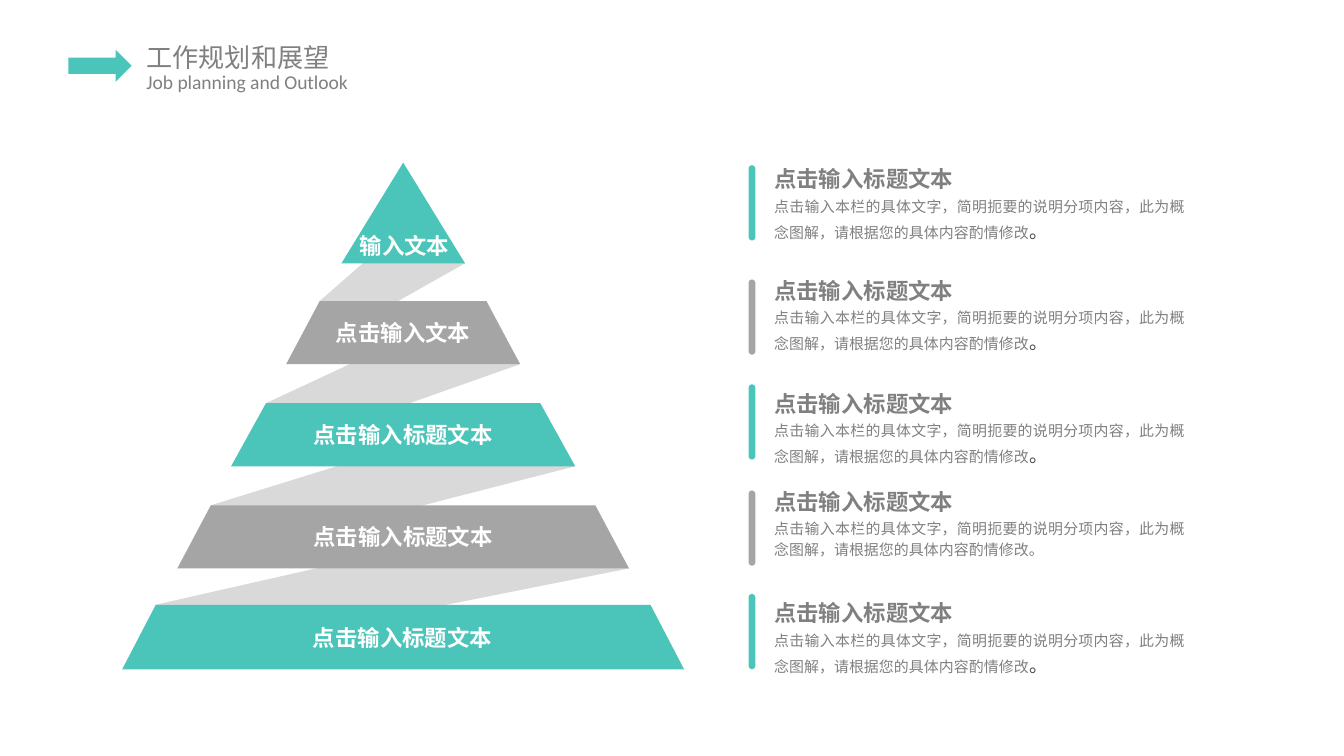
from dataclasses import dataclass
from itertools import cycle, pairwise

from lxml.etree import SubElement
from pptx import Presentation
from pptx.dml.color import RGBColor as RGB
from pptx.enum.shapes import MSO_SHAPE as SHAPE
from pptx.enum.text import MSO_ANCHOR as ANCHOR, PP_ALIGN as ALIGN
from pptx.oxml.ns import qn
from pptx.util import Pt

PX = 9144


@dataclass(frozen=True)
class Theme:
    teal: RGB = RGB(0x4B, 0xC5, 0xB9)
    gray: RGB = RGB(0xA5, 0xA5, 0xA5)
    ribbon: RGB = RGB(0xD9, 0xD9, 0xD9)
    text: RGB = RGB(0x80, 0x80, 0x80)
    dark: RGB = RGB(0x40, 0x40, 0x40)
    white: RGB = RGB(0xFF, 0xFF, 0xFF)
    cjk: str = "Noto Sans CJK SC"
    latin: str = "Calibri"
    title: float = 14
    subtitle: float = 10.5
    heading: float = 12
    body: float = 8
    stop: float = 10


theme = Theme()


def paint(s, color):
    s.shadow.inherit = False
    s.fill.solid()
    s.fill.fore_color.rgb = color
    s.line.fill.background()


def write(sp, box, text, size, color, font=theme.cjk, bold=False,
          align=ALIGN.LEFT, anchor=ANCHOR.TOP, insets=(4, 2), wrap=False):
    sp.left, sp.top, sp.width, sp.height = [v * PX for v in box]
    tf = sp.text_frame
    tf.word_wrap = wrap
    tf.vertical_anchor = anchor
    tf.margin_left = tf.margin_right = insets[0] * PX
    tf.margin_top = tf.margin_bottom = insets[1] * PX
    p = tf.paragraphs[0]
    p.add_run().text = text
    p.alignment = align
    p.font.size = Pt(size)
    p.font.bold = bold
    p.font.name = font
    p.font.color.rgb = color
    SubElement(p._p.pPr.find(qn("a:defRPr")), qn("a:ea"), typeface=font)
    return p


prs = Presentation()
prs.slide_width = 1000 * PX
prs.slide_height = prs.slide_width * 9 // 16
slide = prs.slides.add_slide(prs.slide_layouts[5])
shapes = slide.shapes

write(shapes.title, (98, 26, 159, 34), "工作规划和展望", theme.title, theme.text, insets=(11, 5))
write(shapes.add_textbox(0, 0, 0, 0), (98, 47, 173, 28), "Job planning and Outlook",
      theme.subtitle, theme.text, font=theme.latin, insets=(11, 5))
arrow = shapes.add_shape(SHAPE.RIGHT_ARROW, 51 * PX, 37 * PX, 47 * PX, 24 * PX)
paint(arrow, theme.teal)

center = 300
tiers = [
    (121, 196, 0, 46, (318, 154), (255, 163, 92, 39), "输入文本"),
    (224, 271, 62, 87, (361, 224), (240, 228, 120, 39), "点击输入文本"),
    (300, 347, 102, 128, (402, 300), (199, 304, 202, 39), "点击输入标题文本"),
    (376, 423, 143, 168, (442, 376), (156, 380, 288, 39), "点击输入标题文本"),
    (450, 498, 184, 209, (483, 450), (117, 455, 365, 39), "点击输入标题文本"),
]

outlines = []
for upper, lower in pairwise(tiers):
    top, bottom, inner, outer = lower[:4]
    outlines.append((theme.ribbon, [upper[4], (center - inner, top), (center - outer, bottom),
                                    (center + upper[3], upper[1])]))
for (top, bottom, inner, outer, *_), color in zip(tiers, cycle((theme.teal, theme.gray))):
    outlines.append((color, [(center - inner, top), (center + inner, top),
                             (center + outer, bottom), (center - outer, bottom)]))
for color, points in outlines:
    builder = shapes.build_freeform(*points[0], scale=PX)
    builder.add_line_segments(points[1:], close=True)
    paint(builder.convert_to_shape(), color)

for *_, box, label in tiers:
    write(shapes.add_textbox(0, 0, 0, 0), box, label, theme.heading, theme.white, bold=True,
          align=ALIGN.CENTER, anchor=ANCHOR.MIDDLE, insets=(0, 0), wrap=True)

detail = "点击输入本栏的具体文字，简明扼要的说明分项内容，此为概念图解，请根据您的具体内容酌情修改"
notes = [(123, 121, True), (208, 204, True), (286, 288, True), (365, 361, False), (442, 444, True)]
for (bar_top, top, large_stop), color in zip(notes, cycle((theme.teal, theme.gray))):
    bar = shapes.add_shape(SHAPE.ROUND_2_SAME_RECTANGLE, 557 * PX, bar_top * PX, 5 * PX, 56 * PX)
    bar.adjustments[0] = bar.adjustments[1] = 0.5
    paint(bar, color)
    write(shapes.add_textbox(0, 0, 0, 0), (572, top, 142, 24), "点击输入标题文本",
          theme.heading, theme.text, bold=True)
    p = write(shapes.add_textbox(0, 0, 0, 0), (572, top + 21, 314, 40),
              detail if large_stop else detail + "。", theme.body, theme.text,
              align=ALIGN.JUSTIFY, wrap=True)
    p.line_spacing = 1.2
    if large_stop:
        r = p.add_run()
        r.text = "。"
        r.font.size = Pt(theme.stop)
        r.font.color.rgb = theme.dark

prs.save("out.pptx")
